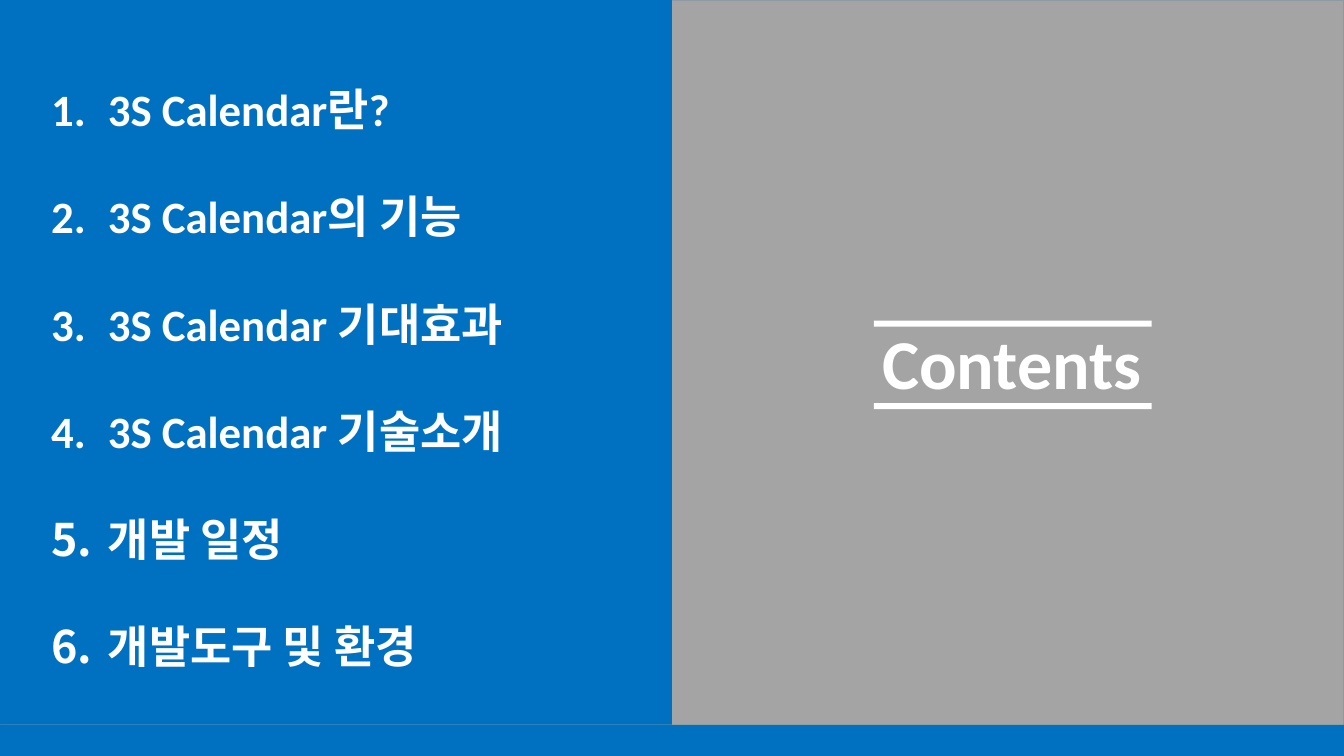
from lxml import etree
from pptx import Presentation
from pptx.dml.color import RGBColor
from pptx.enum.shapes import MSO_SHAPE
from pptx.enum.text import MSO_ANCHOR, MSO_AUTO_SIZE, PP_ALIGN
from pptx.oxml.ns import qn
from pptx.util import Pt

RECTANGLE = MSO_SHAPE.RECTANGLE
TOP = MSO_ANCHOR.TOP
NO_AUTOFIT = MSO_AUTO_SIZE.NONE
LEFT, CENTER = PP_ALIGN.LEFT, PP_ALIGN.CENTER

WHITE = RGBColor(0xFF, 0xFF, 0xFF)
BLUE = RGBColor(0x00, 0x70, 0xC0)
OUTLINE_BLUE = RGBColor(0x43, 0x73, 0x9E)
DARK_GREY = RGBColor(0x44, 0x44, 0x44)
LIGHT_GREY = RGBColor(0xA6, 0xA6, 0xA6)

FONT = "Calibri"
PAGE_WIDTH, PAGE_HEIGHT = 960, 540
FOOTER_HEIGHT = 22.3
ITEM_PITCH = 76.75
NUMBER_INDENT = 40.5

TOPICS = [
    "3S Calendar란?",
    "3S Calendar의 기능",
    "3S Calendar 기대효과",
    "3S Calendar 기술소개",
    "개발 일정",
    "개발도구 및 환경",
]


def add_panel(page, left, top, width, height, color, opacity=100, outline=None):
    panel = page.shapes.add_shape(
        RECTANGLE, Pt(left), Pt(top), Pt(width), Pt(height))
    panel.shadow.inherit = False
    panel.fill.solid()
    panel.fill.fore_color.rgb = color
    if opacity < 100:
        fill_color = panel.fill._xPr.find(qn("a:solidFill"))[0]
        etree.SubElement(fill_color, qn("a:alpha"), val=str(opacity * 1000))
    if outline is None:
        panel.line.fill.background()
    else:
        panel.line.color.rgb = outline
        panel.line.width = Pt(1)


def write_text(para, text, size, align=LEFT):
    para.alignment = align
    span = para.add_run()
    span.text = text
    span.font.name = FONT
    span.font.size = Pt(size)
    span.font.bold = True
    span.font.color.rgb = WHITE


def number_paragraph(para):
    """Give the paragraph an automatic number with a hanging indent."""
    properties = para._p.get_or_add_pPr()
    properties.set("marL", str(Pt(NUMBER_INDENT)))
    properties.set("indent", str(-Pt(NUMBER_INDENT)))
    etree.SubElement(properties, qn("a:buFont"), typeface="+mj-lt")
    etree.SubElement(properties, qn("a:buAutoNum"), type="arabicPeriod")


def add_background(page, width, height):
    add_panel(page, 0, 0, width, height, DARK_GREY, opacity=50,
              outline=OUTLINE_BLUE)
    add_panel(page, 0, 0, width, height, LIGHT_GREY, opacity=75)
    body_height = height - FOOTER_HEIGHT
    add_panel(page, 0, body_height, width, FOOTER_HEIGHT, BLUE)
    add_panel(page, 0, 0, width / 2, body_height, BLUE)


def add_heading(page, left, top, width, height):
    """Place the title between two white rules."""
    title = page.shapes.title
    title.left, title.top = Pt(left), Pt(top)
    title.width, title.height = Pt(width), Pt(height)
    # The placeholder comes first in the layout; bring it above the panels.
    title.element.getparent().append(title.element)
    frame = title.text_frame
    frame.auto_size = NO_AUTOFIT
    frame.word_wrap = True
    frame.vertical_anchor = TOP
    write_text(frame.paragraphs[0], "Contents", size=50, align=CENTER)

    rule_width, rule_height = 198.5, 4.3
    rule_left = left + (width - rule_width) / 2 + 0.5
    for offset in (4.4, 63.4):
        add_panel(page, rule_left, top + offset, rule_width, rule_height, WHITE)


def add_topics(page, left, top, width, height):
    box = page.shapes.add_textbox(Pt(left), Pt(top), Pt(width), Pt(height))
    frame = box.text_frame
    frame.word_wrap = True
    frame.margin_top = Pt(5.4)
    for index, topic in enumerate(TOPICS):
        para = frame.add_paragraph() if index else frame.paragraphs[0]
        write_text(para, topic, size=32)
        para.line_spacing = Pt(ITEM_PITCH)
        number_paragraph(para)


def build_contents_slide(deck):
    title_only = deck.slide_layouts[5]
    page = deck.slides.add_slide(title_only)
    add_background(page, PAGE_WIDTH, PAGE_HEIGHT)
    add_heading(page, 607.7, 224.6, 230.4, 67.7)
    add_topics(page, 29.5, 14.4, 420.5, 511.2)


def main():
    deck = Presentation()
    deck.slide_width, deck.slide_height = Pt(PAGE_WIDTH), Pt(PAGE_HEIGHT)
    build_contents_slide(deck)
    deck.save("out.pptx")


if __name__ == "__main__":
    main()
